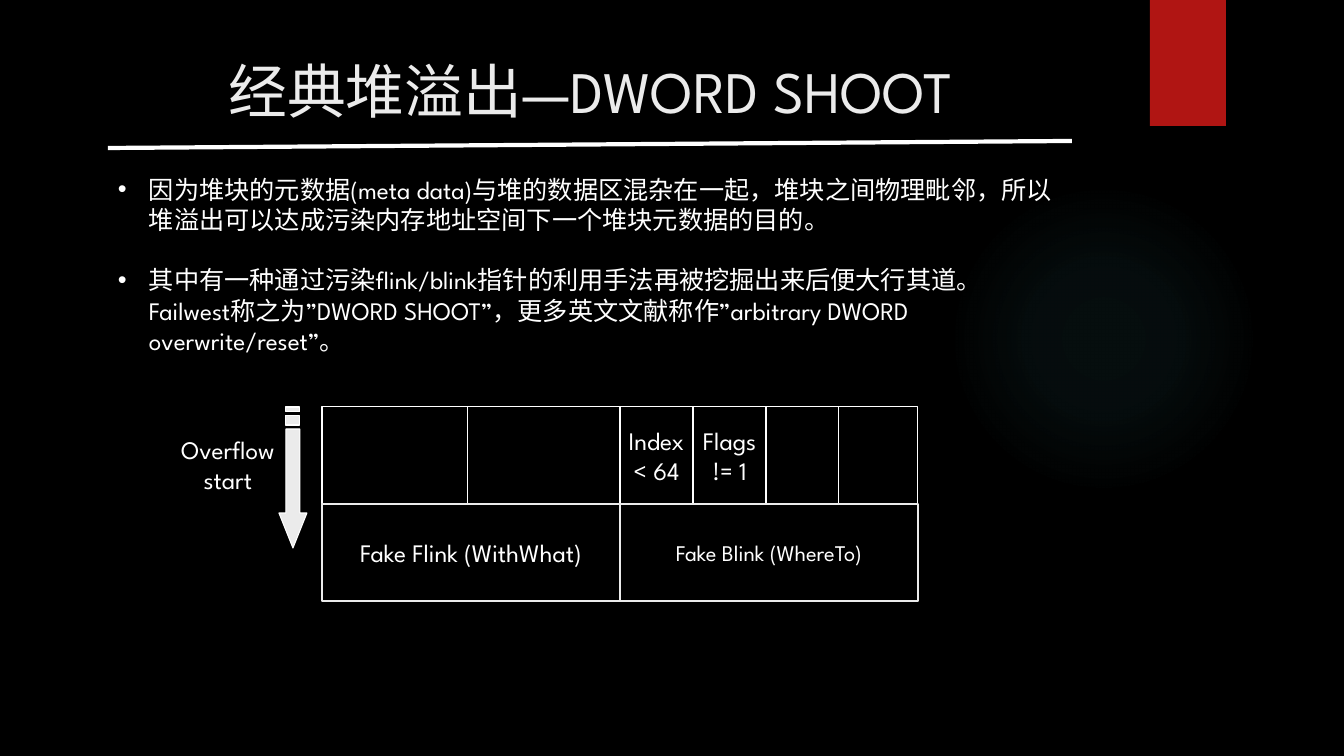
from itertools import accumulate

from lxml import etree
from pptx import Presentation
from pptx import util as u
from pptx.dml.color import RGBColor
from pptx.enum import shapes, text
from pptx.oxml import ns

# Content
TITLE = "经典堆溢出—DWORD SHOOT"
BULLETS = [
    "因为堆块的元数据(meta data)与堆的数据区混杂在一起，堆块之间物理毗邻，"
    "所以堆溢出可以达成污染内存地址空间下一个堆块元数据的目的。",
    "其中有一种通过污染flink/blink指针的利用手法再被挖掘出来后便大行其道。"
    "Failwest称之为”DWORD SHOOT”，更多英文文献称作”arbitrary DWORD overwrite/reset”。",
]
OVERFLOW = ["Overflow", "start"]
# Each cell: width, lines, text size
HEADER_CELLS = [(146, [], 18), (152, [], 18), (73, ["Index", "< 64"], 18),
                (73, ["Flags", "!= 1"], 18), (73, [], 18), (79, [], 18)]
POINTER_CELLS = [(298, ["Fake Flink (WithWhat)"], 18),
                 (298, ["Fake Blink (WhereTo)"], 16)]

# Format
FONT = "League Spartan"
BLACK = RGBColor(0x00, 0x00, 0x00)
WHITE = RGBColor(0xFF, 0xFF, 0xFF)
PALE = RGBColor(0xEB, 0xEB, 0xEB)
RED = RGBColor(0xB0, 0x15, 0x13)
GLOW = RGBColor(0x50, 0xB9, 0xC1)
GLOW_STOPS = [(0, 7), (36, 6), (69, 0)]  # position and opacity in percent
CENTER = text.PP_ALIGN.CENTER
MIDDLE = text.MSO_ANCHOR.MIDDLE
TOP = text.MSO_ANCHOR.TOP

# Layout in pixels
SCALE = 12192000 / 1344
GRID_LEFT, GRID_TOP, ROW_HEIGHT = 322, 407, 97
ARROW_X, SHAFT, HEAD = 293, 7, 14
ARROW_TOP, ARROW_NECK, ARROW_TIP = 429, 513, 548
STRIPES = [(416, 425), (407, 412)]


def px(value):
    return u.Emu(round(value * SCALE))


def put(target, values):
    for name, value in values.items():
        setattr(target, name, value)


def write(box, lines, size, color=WHITE, align=CENTER, anchor=MIDDLE, wrap=False):
    frame = box.text_frame
    put(frame, {"word_wrap": wrap, "vertical_anchor": anchor})
    for index, line in enumerate(lines):
        para = frame.add_paragraph() if index else frame.paragraphs[0]
        para.alignment = align
        span = para.add_run()
        span.text = line
        put(span.font, {"name": FONT, "size": u.Pt(size)})
        span.font.color.rgb = color
        latin = span.font._element.find(ns.qn("a:latin"))
        asian = etree.Element(ns.qn("a:ea"), typeface=FONT)
        latin.addnext(asian)
    return frame.paragraphs


def paint(shape, fill, line=None, width=0.75):
    shape.shadow.inherit = False
    shape.fill.solid()
    shape.fill.fore_color.rgb = fill
    if line is None:
        shape.line.fill.background()
    else:
        shape.line.color.rgb = line
        shape.line.width = u.Pt(width)


def add_box(left, top, width, height):
    return page.shapes.add_textbox(*map(px, (left, top, width, height)))


def add_preset(kind, left, top, width, height):
    return page.shapes.add_shape(kind, *map(px, (left, top, width, height)))


def add_row(cells, top, line, width):
    lefts = accumulate([cell[0] for cell in cells], initial=GRID_LEFT)
    for left, (cell_width, lines, size) in zip(lefts, cells):
        cell = add_preset(shapes.MSO_SHAPE.RECTANGLE, left, top, cell_width, ROW_HEIGHT)
        paint(cell, BLACK, line, width)
        write(cell, lines, size)


deck = Presentation()
put(deck, {"slide_width": px(1344), "slide_height": px(756)})
page = deck.slides.add_slide(deck.slide_layouts[6])
page.background.fill.solid()
page.background.fill.fore_color.rgb = BLACK

# Soft glow and red tab
glow = add_preset(shapes.MSO_SHAPE.OVAL, 949, 184, 310, 310)
paint(glow, GLOW)
gradient = etree.Element(ns.qn("a:gradFill"), rotWithShape="1")
stops = etree.SubElement(gradient, ns.qn("a:gsLst"))
for position, opacity in GLOW_STOPS:
    stop = etree.SubElement(stops, ns.qn("a:gs"), pos=str(position * 1000))
    tint = etree.SubElement(stop, ns.qn("a:srgbClr"), val=str(GLOW))
    etree.SubElement(tint, ns.qn("a:alpha"), val=str(opacity * 1000))
circle = etree.SubElement(gradient, ns.qn("a:path"), attrib={"path": "circle"})
etree.SubElement(circle, ns.qn("a:fillToRect"),
                 attrib={side: "50000" for side in "ltrb"})
solid = glow._element.spPr.find(ns.qn("a:solidFill"))
solid.getparent().replace(solid, gradient)
paint(add_preset(shapes.MSO_SHAPE.RECTANGLE, 1150, 0, 76, 126), RED)

# Title and rule
write(add_box(72, 50, 1037, 154), [TITLE], 42, PALE, anchor=TOP, wrap=True)
rule = page.shapes.add_connector(shapes.MSO_CONNECTOR.STRAIGHT,
                                 *map(px, (108, 148, 1072, 141)))
rule.line.color.rgb = WHITE
rule.line.width = u.Pt(3)
etree.SubElement(rule._element.spPr, ns.qn("a:effectLst"))

# Bullets
bullets = write(add_box(108, 169, 963, 194), BULLETS, 18,
                align=text.PP_ALIGN.LEFT, anchor=TOP, wrap=True)
for index, para in enumerate(bullets):
    para.space_before = u.Pt(21.6 * index)
    props = para._p.get_or_add_pPr()
    put_indent = {"marL": str(px(31)), "indent": str(-px(31))}
    for name, value in put_indent.items():
        props.set(name, value)
    etree.SubElement(props, ns.qn("a:buFont"), typeface="Arial")
    etree.SubElement(props, ns.qn("a:buChar"), char="•")

# Heap block
add_row(HEADER_CELLS, GRID_TOP, WHITE, 0.75)
add_row(POINTER_CELLS, GRID_TOP + ROW_HEIGHT, PALE, 2)

# Overflow arrow with two stripes
near, far = ARROW_X - SHAFT, ARROW_X + SHAFT
outline = page.shapes.build_freeform(far, ARROW_TOP, SCALE)
outline.add_line_segments([
    (far, ARROW_NECK), (ARROW_X + HEAD, ARROW_NECK), (ARROW_X, ARROW_TIP),
    (ARROW_X - HEAD, ARROW_NECK), (near, ARROW_NECK), (near, ARROW_TOP)])
for top, bottom in STRIPES:
    outline.move_to(near, top)
    outline.add_line_segments([(far, top), (far, bottom), (near, bottom)])
paint(outline.convert_to_shape(), PALE, WHITE)
write(add_box(168, 429, 120, 71), OVERFLOW, 18, anchor=TOP)

deck.save("out.pptx")
